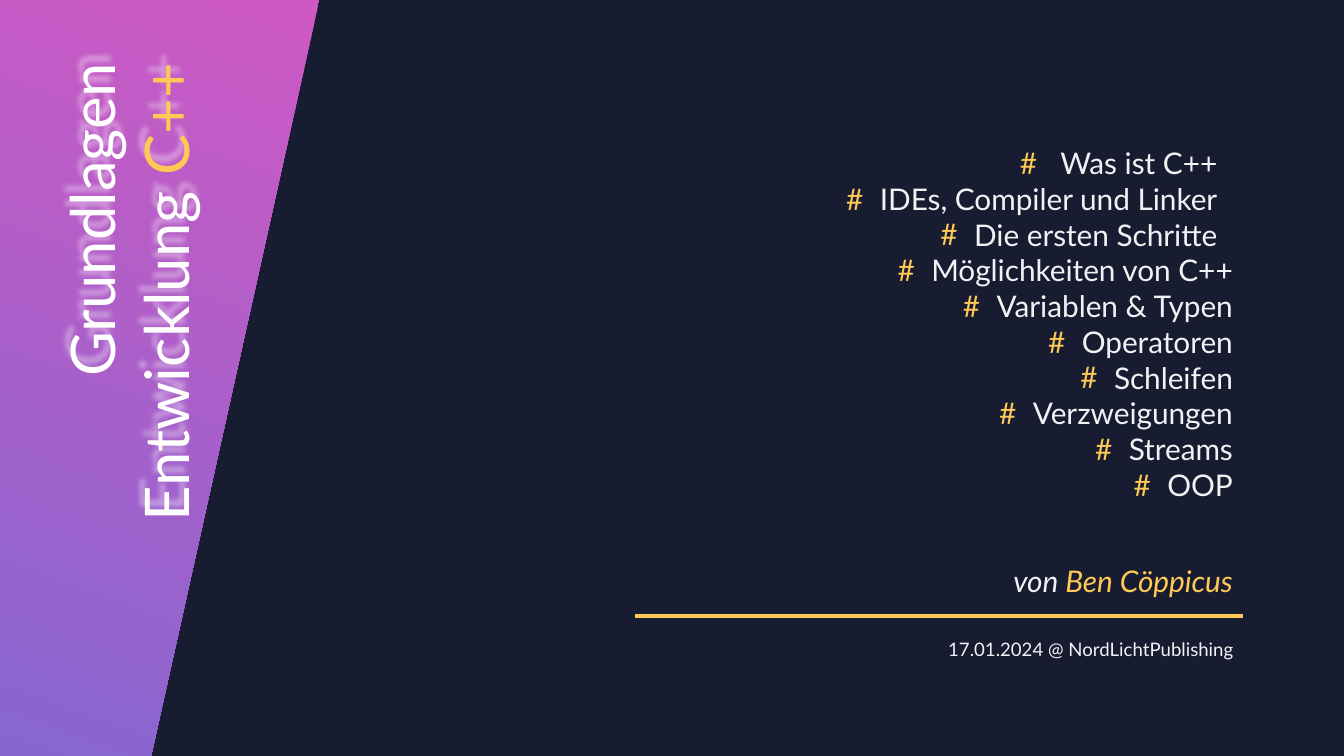
import pptx
import pptx.util
import pptx.dml.color
import pptx.enum.shapes
import pptx.enum.text
import pptx.oxml
import pptx.oxml.ns
from lxml import etree
from pptx.util import Cm

RGBColor = pptx.dml.color.RGBColor
NIGHT = RGBColor(0x17, 0x1C, 0x30)
PINK = RGBColor(0xCE, 0x59, 0xC4)
VIOLET = RGBColor(0x87, 0x66, 0xD0)
GOLD = RGBColor(0xFF, 0xC9, 0x55)
WHITE = RGBColor(0xFF, 0xFF, 0xFF)
PALE = RGBColor(0xF2, 0xF2, 0xF5)

FONT = "Lato"
LINE_PITCH = 0.9  # height of one topic line in cm
TOPICS_TOP = 3.53
HASH_INDENT = 0.85
INTRO_TOPICS = ["Was ist C++", "IDEs, Compiler und Linker", "Die ersten Schritte"]
MAIN_TOPICS = ["Möglichkeiten von C++", "Variablen & Typen", "Operatoren",
               "Schleifen", "Verzweigungen", "Streams", "OOP"]


def add_panel(slide):
    """Slanted gradient panel on the left edge."""
    builder = slide.shapes.build_freeform(0, 0)
    builder.add_line_segments([(Cm(8.05), 0), (Cm(3.81), Cm(19.05)), (0, Cm(19.05))])
    panel = builder.convert_to_shape()
    panel.shadow.inherit = False
    panel.line.fill.background()
    panel.fill.gradient()
    panel.fill.gradient_angle = 250
    for stop, color in zip(panel.fill.gradient_stops, (PINK, VIOLET)):
        stop.color.rgb = color


def add_box(slide, left, top, width, height):
    box = slide.shapes.add_textbox(Cm(left), Cm(top), Cm(width), Cm(height))
    box.text_frame.word_wrap = True
    return box


def format_run(run, size, color, italic=False):
    run.font.name = FONT
    run.font.size = pptx.util.Pt(size)
    run.font.color.rgb = color
    run.font.italic = italic


def add_line_of_text(slide, place, parts, size, italic=False):
    """Right-aligned paragraph made of (text, colour) parts."""
    box = add_box(slide, *place)
    paragraph = box.text_frame.paragraphs[0]
    paragraph.alignment = pptx.enum.text.PP_ALIGN.RIGHT
    for text, color in parts:
        run = paragraph.add_run()
        run.text = text
        format_run(run, size, color, italic)
    return box


def add_glow(box):
    """Soft white shadow that lifts the title up and to the left."""
    namespace = pptx.oxml.ns.nsdecls("a")
    box._element.spPr.append(pptx.oxml.parse_xml(
        f'<a:effectLst {namespace}><a:outerShdw blurRad="50800" dist="101600" '
        'dir="14760000" algn="ctr" rotWithShape="0"><a:srgbClr val="FFFFFF">'
        '<a:alpha val="40000"/></a:srgbClr></a:outerShdw></a:effectLst>'))


def add_hash_bullet(paragraph, indent):
    properties = paragraph._p.get_or_add_pPr()
    properties.set("marL", str(Cm(indent)))
    properties.set("indent", str(-Cm(indent)))
    qn = pptx.oxml.ns.qn
    bullet_color = etree.SubElement(properties, qn("a:buClr"))
    etree.SubElement(bullet_color, qn("a:srgbClr"), val=str(GOLD))
    etree.SubElement(properties, qn("a:buFont"), typeface=FONT)
    etree.SubElement(properties, qn("a:buChar"), char="#")


def add_topics(slide, topics, first_line, right, first_indent=HASH_INDENT):
    """Right-aligned hash list that starts on the given line of the agenda."""
    width = 10.6
    box = add_box(slide, right - width, TOPICS_TOP + first_line * LINE_PITCH,
                  width, len(topics) * LINE_PITCH + 0.25)
    frame = box.text_frame
    frame.text = "\n".join(topics)
    for number, paragraph in enumerate(frame.paragraphs):
        paragraph.alignment = pptx.enum.text.PP_ALIGN.RIGHT
        add_hash_bullet(paragraph, HASH_INDENT if number else first_indent)
        format_run(paragraph.runs[0], 21.3, PALE)


def add_rule(slide):
    rule = slide.shapes.add_connector(pptx.enum.shapes.MSO_CONNECTOR.STRAIGHT,
                                      Cm(16), Cm(15.52), Cm(31.32), Cm(15.52))
    rule.line.color.rgb = GOLD
    rule.line.width = pptx.util.Pt(3)
    etree.SubElement(rule._element.spPr, pptx.oxml.ns.qn("a:effectLst"))


def main():
    deck = pptx.Presentation()
    deck.slide_width, deck.slide_height = Cm(33.87), Cm(19.05)
    slide = deck.slides.add_slide(deck.slide_layouts[6])
    slide.background.fill.solid()
    slide.background.fill.fore_color.rgb = NIGHT

    # Vertical title on the panel
    add_panel(slide)
    title = add_line_of_text(slide, (-3.94, 6.5, 14.35, 4.01),
                             [("Grundlagen Entwicklung ", WHITE), ("C++", GOLD)], 44)
    title.rotation = 270
    add_glow(title)

    # Agenda
    add_topics(slide, INTRO_TOPICS, 0, right=30.93, first_indent=1.02)
    add_topics(slide, MAIN_TOPICS, len(INTRO_TOPICS), right=31.32)

    # Author and date
    add_rule(slide)
    add_line_of_text(slide, (20.04, 14.05, 11.28, 1.17),
                     [("von ", PALE), ("Ben Cöppicus", GOLD)], 21.3, italic=True)
    add_line_of_text(slide, (18.49, 15.95, 12.85, 0.84),
                     [("17.01.2024 @ NordLichtPublishing", PALE)], 13.3)

    deck.save("out.pptx")


if __name__ == "__main__":
    main()
